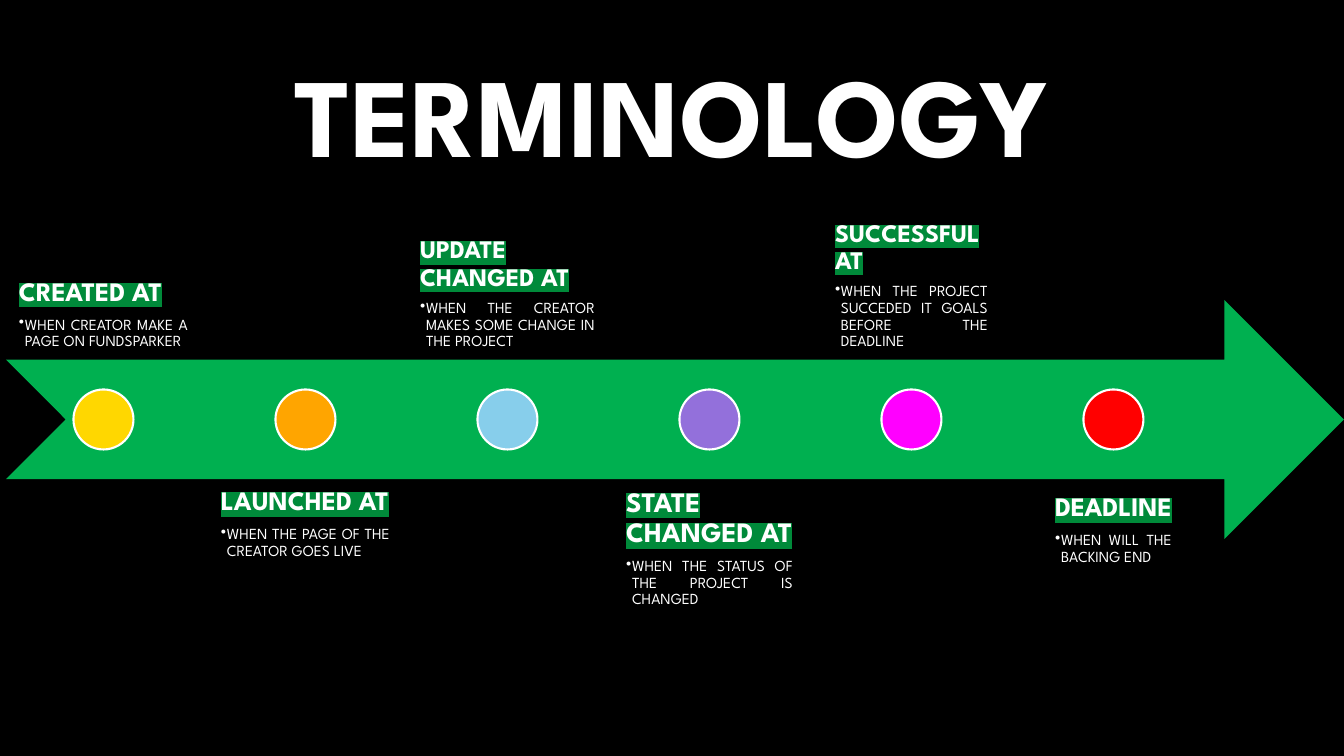
from lxml.etree import SubElement
from pptx import Presentation
from pptx.dml.color import RGBColor
from pptx.enum.shapes import MSO_SHAPE
from pptx.enum.text import MSO_ANCHOR, PP_ALIGN
from pptx.oxml.ns import qn
from pptx.util import Pt

PX = 12192000 / 1344  # EMU per px
FONT = "League Spartan"
BLACK = RGBColor(0x00, 0x00, 0x00)
WHITE = RGBColor(0xFF, 0xFF, 0xFF)
GREEN = RGBColor(0x00, 0xB0, 0x50)
DARK_GREEN = RGBColor(0x00, 0x8A, 0x3A)
GOLD = RGBColor(0xFF, 0xD7, 0x00)
ORANGE = RGBColor(0xFF, 0xA5, 0x00)
SKY = RGBColor(0x87, 0xCE, 0xEB)
PURPLE = RGBColor(0x93, 0x70, 0xDB)
MAGENTA = RGBColor(0xFF, 0x00, 0xFF)
RED = RGBColor(0xFF, 0x00, 0x00)

# heading, heading size, explanation, dot colour, side inset, top/bottom inset
STAGES = [
    ("CREATED AT", 19, "WHEN CREATOR MAKE A PAGE ON FUNDSPARKER", GOLD, 12, 9),
    ("LAUNCHED AT", 19, "WHEN THE PAGE OF THE CREATOR GOES LIVE", ORANGE, 12, 9),
    ("UPDATE CHANGED AT", 18, "WHEN THE CREATOR MAKES SOME CHANGE IN THE PROJECT", SKY, 9, 9),
    ("STATE CHANGED AT", 20, "WHEN THE STATUS OF THE PROJECT IS CHANGED", PURPLE, 13, 9),
    ("SUCCESSFUL AT", 18, "WHEN THE PROJECT SUCCEDED IT GOALS BEFORE THE DEADLINE", MAGENTA, 20, 9),
    ("DEADLINE", 19, "WHEN WILL THE BACKING END", RED, 38, 15),
]


def px(length):
    return round(length * PX)


def add_shape(slide, kind, left, top, width, height, color):
    shape = slide.shapes.add_shape(kind, px(left), px(top), px(width), px(height))
    shape.shadow.inherit = False
    shape.fill.solid()
    shape.fill.fore_color.rgb = color
    shape.line.fill.background()
    return shape


def add_text_box(slide, left, top, width, height, anchor, side_inset, end_inset):
    text_box = slide.shapes.add_textbox(px(left), px(top), px(width), px(height))
    text_frame = text_box.text_frame
    text_frame.word_wrap = True
    text_frame.vertical_anchor = anchor
    text_frame.margin_left = text_frame.margin_right = px(side_inset)
    text_frame.margin_top = text_frame.margin_bottom = px(end_inset)
    return text_frame


def format_paragraph(paragraph, size, align, bold=False, highlight=None):
    paragraph.alignment = align
    paragraph.line_spacing = 0.9
    run = paragraph.runs[0]
    run.font.size = Pt(size)
    run.font.bold = bold
    run.font.color.rgb = WHITE
    if highlight is not None:
        mark = SubElement(run.font._element, qn("a:highlight"))
        SubElement(mark, qn("a:srgbClr"), val=str(highlight))
    run.font.name = FONT


def add_bullet(paragraph, indent):
    properties = paragraph._p.get_or_add_pPr()
    properties.set("marL", str(px(indent)))
    properties.set("indent", str(-px(indent)))
    SubElement(properties, qn("a:buChar"), char="•")


def add_title(slide, left, top, width, height):
    text_frame = add_text_box(slide, left, top, width, height, MSO_ANCHOR.MIDDLE, 10, 5)
    text_frame.text = "TERMINOLOGY"
    format_paragraph(text_frame.paragraphs[0], 80, PP_ALIGN.CENTER, bold=True)


def add_stage_text(slide, left, top, width, height, anchor, stage):
    heading, size, explanation, _, side_inset, end_inset = stage
    text_frame = add_text_box(slide, left, top, width, height, anchor, side_inset, end_inset)
    text_frame.text = f"{heading}\n{explanation}"
    first, second = text_frame.paragraphs
    format_paragraph(first, size, PP_ALIGN.JUSTIFY, bold=True, highlight=DARK_GREEN)
    first.space_after = Pt(round(size * 0.35))
    format_paragraph(second, 11, PP_ALIGN.JUSTIFY)
    second.space_after = Pt(2)
    add_bullet(second, 6)


def add_timeline(slide, left, top, width, height):
    add_shape(slide, MSO_SHAPE.NOTCHED_RIGHT_ARROW, left, top, width, height, GREEN)

    # Stages alternate above and below the arrow's shaft
    pitch, text_width, dot_size = 202, 193, 60
    shaft_top, shaft_bottom = top + height // 4, top + height * 3 // 4
    for index, stage in enumerate(STAGES):
        stage_left = left + 1 + index * pitch
        if index % 2 == 0 and index < 5:
            text_top, anchor = shaft_top - height, MSO_ANCHOR.BOTTOM
        else:
            text_top, anchor = shaft_bottom, MSO_ANCHOR.TOP
        add_stage_text(slide, stage_left, text_top, text_width, height, anchor, stage)
        dot = add_shape(slide, MSO_SHAPE.OVAL, stage_left + (text_width - dot_size) / 2,
                        top + (height - dot_size) / 2, dot_size, dot_size, stage[3])
        dot.line.color.rgb = WHITE
        dot.line.width = Pt(1.5)


def main():
    presentation = Presentation()
    presentation.slide_width, presentation.slide_height = px(1344), px(756)
    slide = presentation.slides.add_slide(presentation.slide_layouts[6])
    slide.background.fill.solid()
    slide.background.fill.fore_color.rgb = BLACK
    add_title(slide, 126, 16, 1092, 210)
    add_timeline(slide, 6, 300, 1338, 239)
    presentation.save("out.pptx")


if __name__ == "__main__":
    main()
